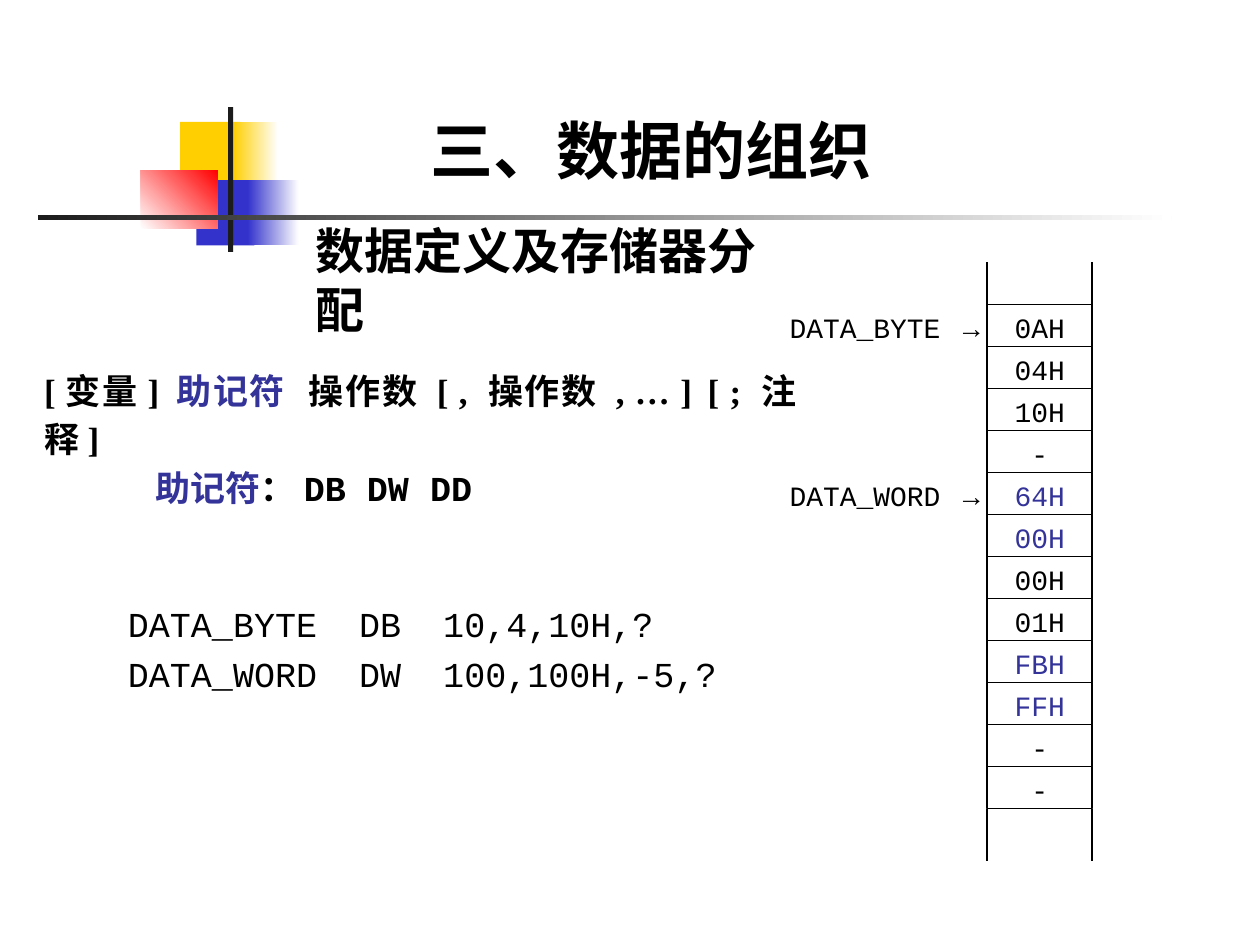
import pptx
import pptx.dml.color
import pptx.enum.shapes
import pptx.enum.text
import pptx.util
from lxml import etree
from pptx.util import Cm

COLORS = {
    "black": "000000", "white": "FFFFFF", "accent": "333399", "yellow": "FFCF01",
    "blue": "3333CC", "red": "FF0000", "dark": "1C1C1C",
}
SERIF, SANS, MONO = "Times New Roman", "Arial", "Courier New"
ALIGN = pptx.enum.text.PP_ALIGN
RECTANGLE = pptx.enum.shapes.MSO_SHAPE.RECTANGLE
STRAIGHT = pptx.enum.shapes.MSO_CONNECTOR.STRAIGHT

# Value and colour of each memory byte, from low to high address
MEMORY = [
    ("0AH", "black"), ("04H", "black"), ("10H", "black"), ("-", "black"),
    ("64H", "accent"), ("00H", "accent"), ("00H", "black"), ("01H", "black"),
    ("FBH", "accent"), ("FFH", "accent"), ("-", "black"), ("-", "black"),
]
VARIABLES = {"DATA_BYTE": 0, "DATA_WORD": 4}  # name: first row


def rgb(name):
    return pptx.dml.color.RGBColor.from_string(COLORS[name])


def write(frame, paragraphs, size, font, bold=False, align=ALIGN.LEFT,
          spacing=None, wrap=True, indents=(), tabs=()):
    """Fill a text frame; each paragraph is a list of (text, format) runs."""
    frame.word_wrap = wrap
    frame.vertical_anchor = pptx.enum.text.MSO_ANCHOR.TOP
    for index, runs in enumerate(paragraphs):
        paragraph = frame.paragraphs[0] if index == 0 else frame.add_paragraph()
        paragraph.alignment = align
        if spacing:
            paragraph.line_spacing = spacing
        properties = paragraph._p.get_or_add_pPr()
        if indents:
            properties.set("marL", str(Cm(indents[index])))
            properties.set("indent", "0")
        if tabs:
            tab_list = etree.SubElement(properties, pptx.oxml.ns.qn("a:tabLst"))
            for position in tabs:
                etree.SubElement(tab_list, pptx.oxml.ns.qn("a:tab"),
                                 pos=str(Cm(position)), algn="l")
        for text, style in runs:
            run = paragraph.add_run()
            run.text = text
            run.font.size = pptx.util.Pt(size)
            run.font.bold = bold
            run.font.name = style.get("font", font)
            run.font.color.rgb = rgb(style.get("color", "black"))


def add_text(slide, box, paragraphs, **style):
    frame = slide.shapes.add_textbox(*map(Cm, box)).text_frame
    write(frame, paragraphs, **style)


def add_block(slide, box, start, end=None, angle=0):
    """Add a borderless rectangle, solid or fading from start to end."""
    block = slide.shapes.add_shape(RECTANGLE, *map(Cm, box))
    block.shadow.inherit = False
    block.line.fill.background()
    if end is None:
        block.fill.solid()
        block.fill.fore_color.rgb = rgb(start)
        return
    block.fill.gradient()
    block.fill.gradient_angle = angle
    for stop, position, color in zip(block.fill.gradient_stops, (0, 1), (start, end)):
        stop.position = position
        stop.color.rgb = rgb(color)


def add_ornament(slide, left, top, width):
    blocks = [
        ((2.87, 0.3, 1.22, 1.32), "yellow"),
        ((3.94, 0.3, 0.91, 1.32), "yellow", "white"),
        ((3.2, 1.47, 1.17, 1.32), "blue"),
        ((4.24, 1.47, 1.02, 1.32), "blue", "white"),
        ((2.08, 1.27, 1.55, 1.17), "white", "red", 45),
        ((3.84, 0, 0.1, 2.92), "dark"),
        ((0, 2.18, width, 0.1), "dark", "white"),
    ]
    for (x, y, w, h), *fill in blocks:
        add_block(slide, (left + x, top + y, w, h), *fill)


def add_syntax(slide, box):
    add_text(slide, box, [
        [("[变量]\t", {}), ("助记符", {"color": "accent"}),
         ("\t操作数 [ , 操作数 , … ]\t[ ; 注释]", {})],
        [("助记符", {"color": "accent"}), ("：", {}), ("DB DW DD", {"font": MONO})],
    ], size=20, font=SERIF, bold=True, align=ALIGN.JUSTIFY, spacing=1.15,
        indents=(0, 2.24), tabs=(2.98, 5.63, 13.44))


def add_rail(slide, x, top, bottom):
    rail = slide.shapes.add_connector(STRAIGHT, Cm(x), Cm(top), Cm(x), Cm(bottom))
    rail.line.color.rgb = rgb("black")
    rail.line.width = pptx.util.Pt(1)
    etree.SubElement(rail._element.spPr, pptx.oxml.ns.qn("a:effectLst"))


def add_memory(slide, left, top, width, height):
    """Add the byte column, open at both ends, with its variable labels."""
    rail = 1.25  # rail length in rows; the upper one overlaps the first cell
    row = height / (len(MEMORY) + 1 + rail)
    first = top + row
    for index, (value, color) in enumerate(MEMORY):
        cell = slide.shapes.add_shape(
            RECTANGLE, Cm(left), Cm(first + index * row), Cm(width), Cm(row))
        cell.shadow.inherit = False
        cell.fill.background()
        cell.line.color.rgb = rgb("black")
        cell.line.width = pptx.util.Pt(1)
        write(cell.text_frame, [[(value, {"color": color})]],
              size=16, font=MONO, align=ALIGN.CENTER)
    for x in (left, left + width):
        add_rail(slide, x, top, top + rail * row)
        add_rail(slide, x, top + height - rail * row, top + height)
    for name, index in VARIABLES.items():
        add_text(slide, (left - 4.23, first + index * row, 4.65, 0.94),
                 [[(name + " ", {}), ("→", {"font": SANS})]], size=16, font=MONO)


def main():
    deck = pptx.Presentation()
    deck.slide_width, deck.slide_height = Cm(25.4), Cm(19.05)
    slide = deck.slides.add_slide(deck.slide_layouts[6])

    add_ornament(slide, 0.76, 2.16, 22.86)
    add_text(slide, (6.12, 4.32, 10.36, 1.45), [[("数据定义及存储器分配", {})]],
             size=28, font=SERIF, bold=True, wrap=False)
    add_syntax(slide, (0.64, 7.2, 15.67, 3.18))
    add_memory(slide, 19.9, 5.29, 2.12, 12.07)
    add_text(slide, (2.33, 11.85, 12.7, 2.29),
             [[("DATA_BYTE  DB  10,4,10H,?", {})],
              [("DATA_WORD  DW  100,100H,-5,?", {})]],
             size=20, font=MONO, align=ALIGN.JUSTIFY, spacing=1.2)
    add_text(slide, (6.14, 2.12, 13.97, 1.78), [[("三、数据的组织", {})]],
             size=36, font=SANS, bold=True, align=ALIGN.CENTER)
    deck.save("out.pptx")


if __name__ == "__main__":
    main()
